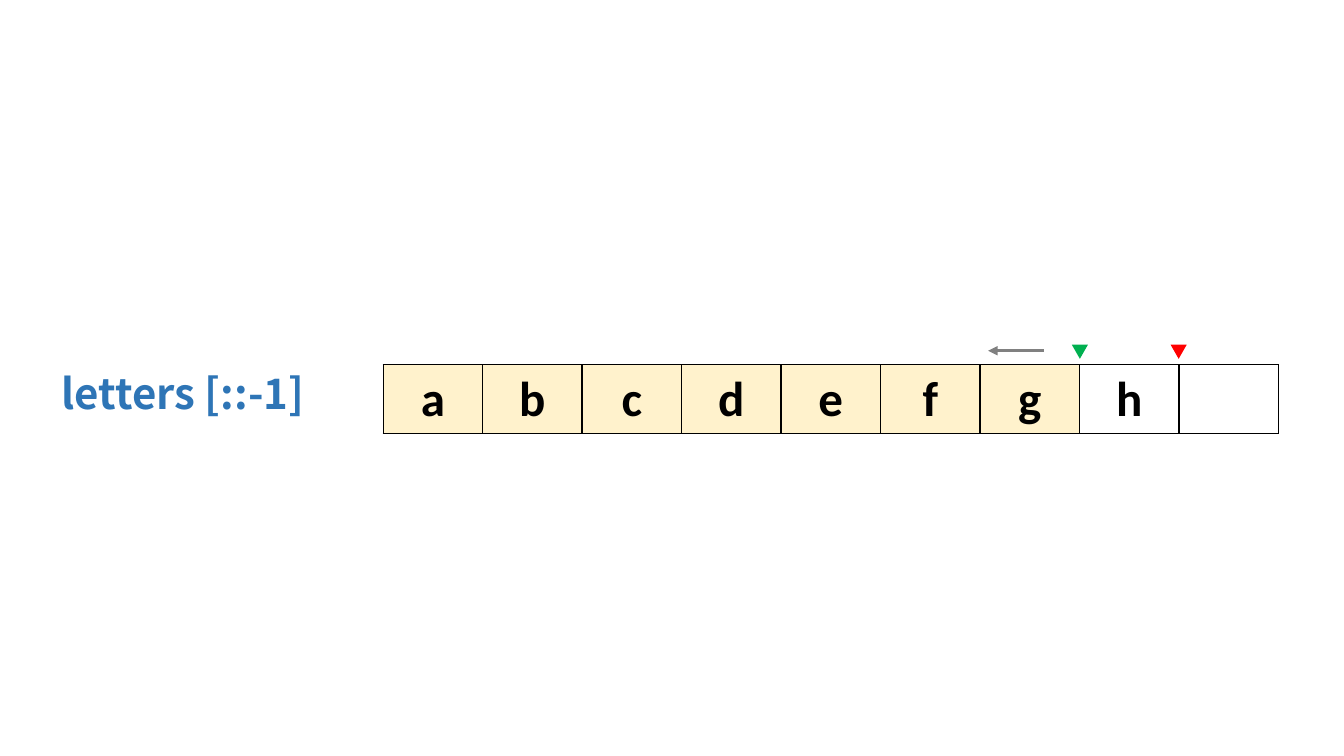
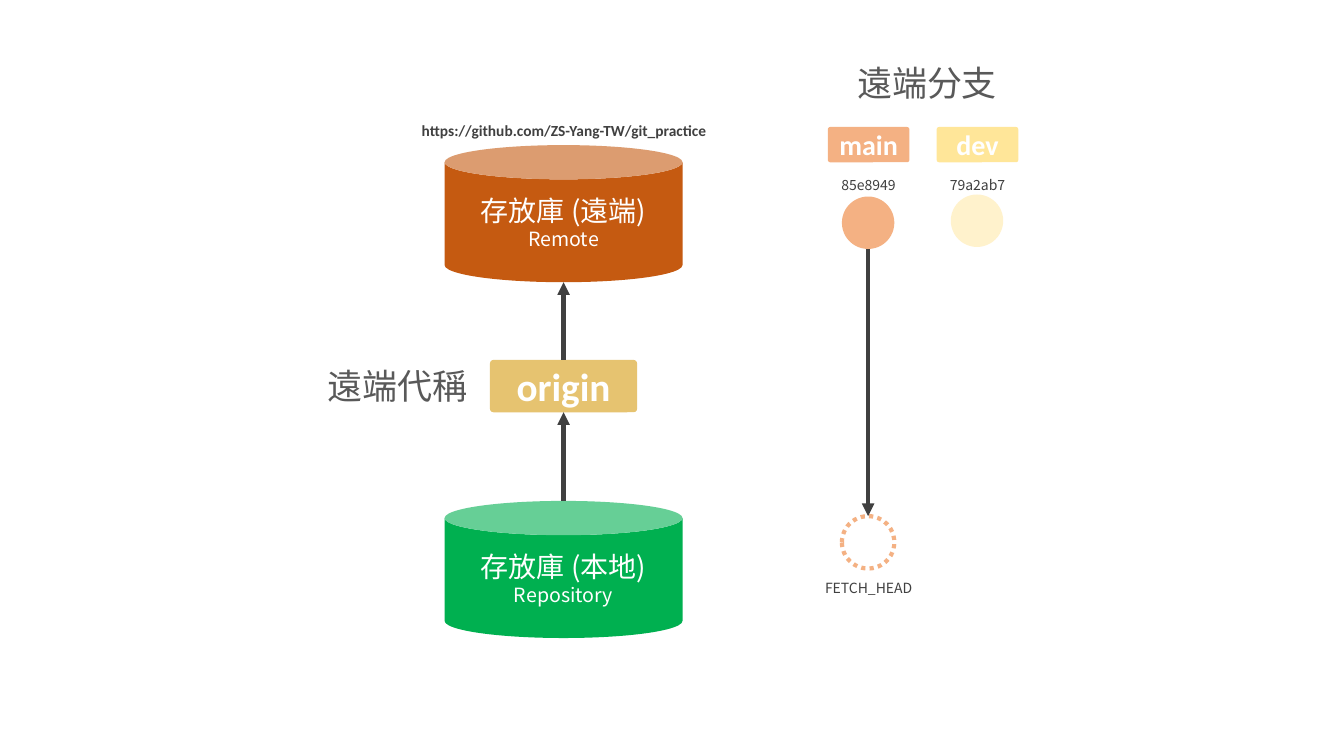
from dataclasses import dataclass
from typing import Optional

from lxml.etree import SubElement
from pptx import Presentation
from pptx.dml.color import RGBColor
from pptx.enum.dml import MSO_LINE
from pptx.enum.shapes import MSO_CONNECTOR, MSO_SHAPE
from pptx.enum.text import MSO_ANCHOR, MSO_AUTO_SIZE, PP_ALIGN
from pptx.oxml.ns import qn
from pptx.util import Emu, Pt

EMU_PER_PX = 9144
LATIN_FONT = "Calibri"
CJK_FONT = "Noto Sans CJK TC"
COLORS = {
    "black": "000000",
    "white": "FFFFFF",
    "dark": "404040",
    "heading": "595959",
    "gray": "808080",
    "blue": "2E75B6",
    "red": "FF0000",
    "green": "00B050",
    "rust": "C55A11",
    "gold": "E6C370",
    "orange": "F4B183",
    "yellow": "FFE699",
    "cream": "FFF2CC",
}


@dataclass(frozen=True)
class Box:
    left: int
    top: int
    width: int
    height: int

    def emu(self) -> list:
        return [px(value) for value in (self.left, self.top, self.width, self.height)]

    @property
    def center(self) -> int:
        return self.left + self.width // 2

    @property
    def bottom(self) -> int:
        return self.top + self.height


@dataclass(frozen=True)
class Style:
    size: int
    color: str
    font: str = CJK_FONT
    bold: bool = False


@dataclass(frozen=True)
class Label:
    text: str
    box: Box
    style: Style


@dataclass(frozen=True)
class Repository:
    title: str
    subtitle: str
    top: int
    color: str


@dataclass(frozen=True)
class Branch:
    name: str
    commit: str
    left: int
    circle_top: int
    tag_color: str
    circle_color: str


CODE = Style(30, "blue", bold=True)
CELL = Style(35, "black", LATIN_FONT, True)
HEADING = Style(25, "heading")
ADDRESS = Style(11, "dark", LATIN_FONT, True)
SMALL = Style(10, "dark")
CAN_TITLE = Style(20, "white")
CAN_SUBTITLE = Style(14, "white")
ALIAS = Style(28, "white", LATIN_FONT, True)
TAG = Style(20, "white", LATIN_FONT, True)

LETTERS = "abcdefgh"
SELECTED = "abcdefg"
LETTER_GRID = Box(380, 362, 888, 68)
ORIGIN = Box(486, 357, 146, 52)
CAN_WIDTH, CAN_HEIGHT = 236, 136
TAG_WIDTH, TAG_HEIGHT = 81, 35
CIRCLE = 52
LOCAL = Repository("存放庫 (本地)", "Repository", 497, "green")
REMOTE = Repository("存放庫 (遠端)", "Remote", 144, "rust")
MAIN = Branch("main", "85e8949", 821, 195, "orange", "orange")
DEV = Branch("dev", "79a2ab7", 929, 193, "yellow", "cream")
REMOTE_LABELS = [
    Label("https://github.com/ZS-Yang-TW/git_practice", Box(392, 115, 335, 29), ADDRESS),
    Label("遠端代稱", Box(303, 357, 183, 52), HEADING),
    Label("遠端分支", Box(828, 56, 183, 52), HEADING),
    Label("FETCH_HEAD", Box(796, 570, 131, 27), SMALL),
]


def px(value: float) -> Emu:
    return Emu(round(value * EMU_PER_PX))


def rgb(name: str) -> RGBColor:
    return RGBColor.from_string(COLORS[name])


def write(text_frame, text: str, *styles: Style) -> None:
    text_frame.text = ""
    paragraph = text_frame.paragraphs[0]
    paragraph.text = text
    paragraph.alignment = PP_ALIGN.CENTER
    for run, style in zip(paragraph.runs, styles):
        run.font.size = Pt(style.size)
        run.font.bold = style.bold
        run.font.color.rgb = rgb(style.color)
        run.font.name = style.font
        east_asian = SubElement(run.font._element, qn("a:ea"))
        east_asian.set("typeface", style.font)


def add_label(slide, label: Label) -> None:
    text_frame = slide.shapes.add_textbox(*label.box.emu()).text_frame
    text_frame.word_wrap = True
    text_frame.auto_size = MSO_AUTO_SIZE.SHAPE_TO_FIT_TEXT
    write(text_frame, label.text, label.style)


def add_figure(slide, kind: MSO_SHAPE, box: Box, fill: Optional[str] = None):
    shape = slide.shapes.add_shape(kind, *box.emu())
    shape.shadow.inherit = False
    shape.line.fill.background()
    if fill:
        shape.fill.solid()
        shape.fill.fore_color.rgb = rgb(fill)
    else:
        shape.fill.background()
    return shape


def add_tag(slide, box: Box, fill: str, text: str, style: Style):
    shape = add_figure(slide, MSO_SHAPE.ROUNDED_RECTANGLE, box, fill)
    shape.adjustments[0] = 0.07
    shape.text_frame.vertical_anchor = MSO_ANCHOR.MIDDLE
    write(shape.text_frame, text, style)
    return shape


def add_arrow(slide, start: tuple, end: tuple, color: str, width: float):
    points = [px(value) for value in (*start, *end)]
    connector = slide.shapes.add_connector(MSO_CONNECTOR.STRAIGHT, *points)
    connector.line.color.rgb = rgb(color)
    connector.line.width = Pt(width)
    SubElement(connector.line._get_or_add_ln(), qn("a:tailEnd")).set("type", "triangle")
    SubElement(connector._element.spPr, qn("a:effectLst"))
    return connector


def set_borders(cell) -> None:
    properties = cell._tc.get_or_add_tcPr()
    for position, side in enumerate(("lnL", "lnR", "lnT", "lnB")):
        line = SubElement(properties, qn(f"a:{side}"))
        line.set("w", str(Pt(1)))
        fill = SubElement(line, qn("a:solidFill"))
        SubElement(fill, qn("a:srgbClr")).set("val", COLORS["black"])
        properties.remove(line)
        properties.insert(position, line)


def add_letter_table(slide) -> None:
    column_count = len(LETTERS) + 1
    table = slide.shapes.add_table(1, column_count, *LETTER_GRID.emu()).table
    table.first_row = False
    table.horz_banding = False
    for column in table.columns:
        column.width = px(LETTER_GRID.width / column_count)
    for index, cell in enumerate(table.iter_cells()):
        letter = LETTERS[index:index + 1]
        cell.fill.solid()
        cell.fill.fore_color.rgb = rgb("cream" if letter and letter in SELECTED else "white")
        set_borders(cell)
        cell.vertical_anchor = MSO_ANCHOR.MIDDLE
        if letter:
            write(cell.text_frame, letter, CELL)


def add_marker(slide, column: int, color: str) -> None:
    border = LETTER_GRID.left + round(column * LETTER_GRID.width / (len(LETTERS) + 1))
    marker = add_figure(slide, MSO_SHAPE.ISOSCELES_TRIANGLE, Box(border - 8, 342, 16, 14), color)
    marker.rotation = 180


def add_repository(slide, repository: Repository) -> Box:
    box = Box(ORIGIN.center - CAN_WIDTH // 2, repository.top, CAN_WIDTH, CAN_HEIGHT)
    shape = add_figure(slide, MSO_SHAPE.CAN, box, repository.color)
    shape.text_frame.vertical_anchor = MSO_ANCHOR.MIDDLE
    write(shape.text_frame, f"{repository.title}\v{repository.subtitle}", CAN_TITLE, CAN_SUBTITLE)
    return box


def add_branch(slide, branch: Branch) -> Box:
    tag = Box(branch.left, 126, TAG_WIDTH, TAG_HEIGHT)
    add_tag(slide, tag, branch.tag_color, branch.name, TAG)
    circle = Box(tag.center - CIRCLE // 2, branch.circle_top, CIRCLE, CIRCLE)
    add_figure(slide, MSO_SHAPE.OVAL, circle, branch.circle_color)
    add_label(slide, Label(branch.commit, Box(branch.left, 170, TAG_WIDTH, 27), SMALL))
    return circle


def build_slicing_slide(slide) -> None:
    add_label(slide, Label("letters [::-1]", Box(30, 360, 303, 61), CODE))
    add_letter_table(slide)
    add_marker(slide, 8, "red")
    add_marker(slide, 7, "green")
    add_arrow(slide, (1035, 348), (980, 348), "gray", 2.25)


def build_remote_slide(slide) -> None:
    local = add_repository(slide, LOCAL)
    remote = add_repository(slide, REMOTE)
    origin = add_tag(slide, ORIGIN, "gold", "origin", ALIAS)
    center = ORIGIN.center
    incoming = add_arrow(slide, (center, local.top), (center, ORIGIN.bottom), "dark", 3)
    incoming.end_connect(origin, 2)
    outgoing = add_arrow(slide, (center, ORIGIN.top), (center, remote.bottom), "dark", 3)
    outgoing.begin_connect(origin, 0)

    add_branch(slide, DEV)
    commit = add_branch(slide, MAIN)
    head = Box(commit.left, 512, CIRCLE, CIRCLE)
    fetch_head = add_figure(slide, MSO_SHAPE.OVAL, head)
    fetch_head.line.color.rgb = rgb("orange")
    fetch_head.line.width = Pt(3)
    fetch_head.line.dash_style = MSO_LINE.ROUND_DOT
    fetch = add_arrow(slide, (commit.center, commit.bottom), (head.center, head.top), "dark", 3)
    fetch.end_connect(fetch_head, 0)
    for label in REMOTE_LABELS:
        add_label(slide, label)


def main() -> None:
    presentation = Presentation()
    presentation.slide_width = px(1333)
    presentation.slide_height = px(750)
    for build in (build_slicing_slide, build_remote_slide):
        build(presentation.slides.add_slide(presentation.slide_layouts[6]))
    presentation.save("out.pptx")


if __name__ == "__main__":
    main()
